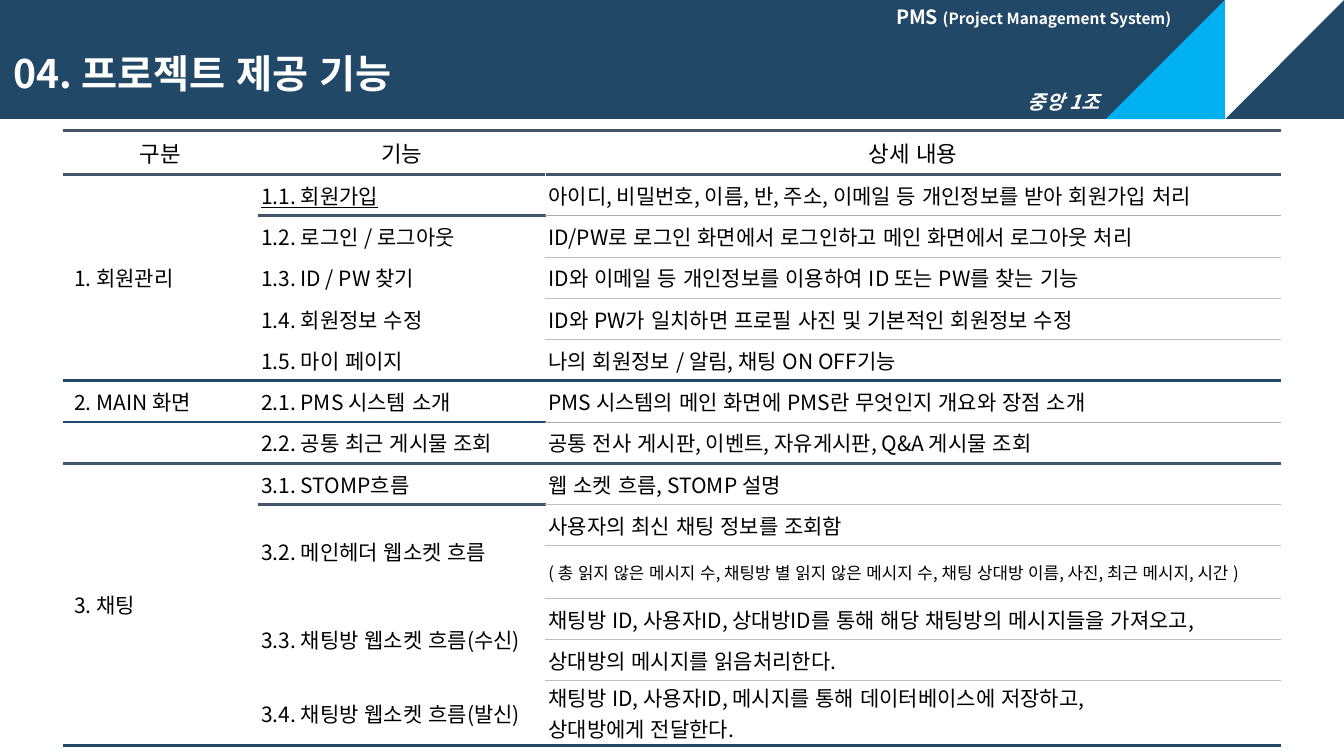
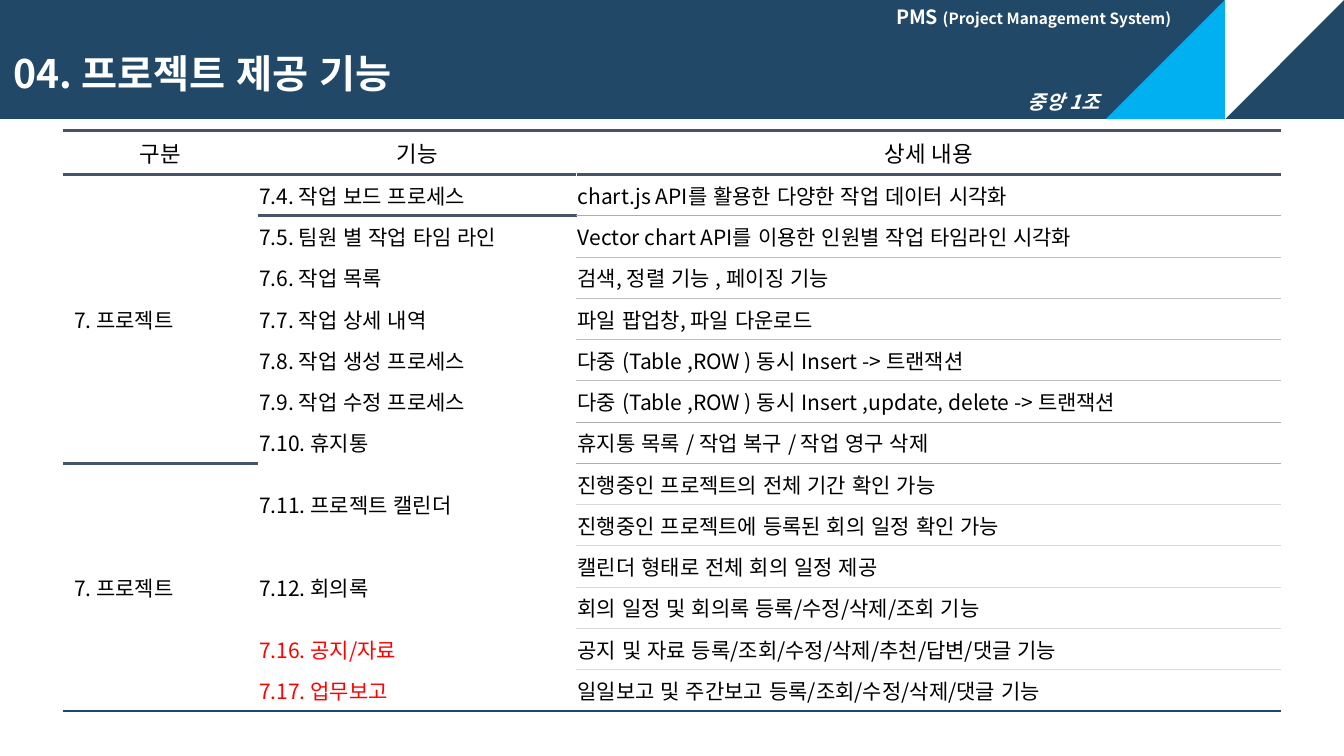
from typing import NamedTuple, Optional

from lxml.etree import SubElement
from pptx import Presentation
from pptx.dml.color import RGBColor
from pptx.enum.lang import MSO_LANGUAGE_ID
from pptx.enum.shapes import MSO_SHAPE
from pptx.enum.text import MSO_ANCHOR, MSO_AUTO_SIZE, PP_ALIGN
from pptx.oxml import parse_xml
from pptx.oxml.ns import nsdecls, qn
from pptx.util import Pt

FONT = "Noto Sans CJK KR"
WHITE, BLACK, RED = "FFFFFF", "000000", "FF0000"
NAVY, SKY, SLATE = "214867", "00B0F0", "44546A"
GRAY, LIGHT, PALE = "AFABAB", "BFBFBF", "D9D9D9"
HEAVY_RULES = {NAVY, SLATE}
NO_STYLE = "{2D5ABB26-0587-4C30-8999-92F81FD0307C}"

SLIDE_WIDTH, SLIDE_HEIGHT = 960, 540
BAND_HEIGHT = 85
TABLE_LEFT, TABLE_TOP = 44.8, 93.4
HEADER_HEIGHT, ROW_HEIGHT = 31.2, 29.5
TITLE = "04. 프로젝트 제공 기능"
HEADINGS = ("구분", "기능", "상세 내용")


class Row(NamedTuple):
    """One table row; None in a cell continues the cell above it."""
    category: Optional[str]
    feature: Optional[str]
    detail: str
    rule: Optional[str] = LIGHT
    feature_format: dict = {}
    detail_format: dict = {}


MEMBER_TO_CHAT = [
    Row("1. 회원관리", "1.1. 회원가입",
        "아이디, 비밀번호, 이름, 반, 주소, 이메일 등 개인정보를 받아 회원가입 처리",
        GRAY, {"underline": True}),
    Row(None, "1.2. 로그인 / 로그아웃",
        "ID/PW로 로그인 화면에서 로그인하고 메인 화면에서 로그아웃 처리"),
    Row(None, "1.3. ID / PW 찾기",
        "ID와 이메일 등 개인정보를 이용하여 ID 또는 PW를 찾는 기능"),
    Row(None, "1.4. 회원정보 수정",
        "ID와 PW가 일치하면 프로필 사진 및 기본적인 회원정보 수정"),
    Row(None, "1.5. 마이 페이지", "나의 회원정보 / 알림, 채팅 ON OFF기능", NAVY),
    Row("2. MAIN 화면", "2.1. PMS 시스템 소개",
        "PMS 시스템의 메인 화면에 PMS란 무엇인지 개요와 장점 소개", GRAY),
    Row("", "2.2. 공통 최근 게시물 조회",
        "공통 전사 게시판, 이벤트, 자유게시판, Q&A 게시물 조회", SLATE),
    Row("3. 채팅", "3.1. STOMP흐름", "웹 소켓 흐름, STOMP 설명"),
    Row(None, "3.2. 메인헤더 웹소켓 흐름", "사용자의 최신 채팅 정보를 조회함", None),
    Row(None, None,
        "( 총 읽지 않은 메시지 수, 채팅방 별 읽지 않은 메시지 수, "
        "채팅 상대방 이름, 사진, 최근 메시지, 시간 )",
        detail_format={"size": Pt(12)}),
    Row(None, "3.3. 채팅방 웹소켓 흐름(수신)",
        "채팅방 ID, 사용자ID, 상대방ID를 통해 해당 채팅방의 메시지들을 가져오고,", None),
    Row(None, None, "상대방의 메시지를 읽음처리한다."),
    Row(None, "3.4. 채팅방 웹소켓 흐름(발신)",
        "채팅방 ID, 사용자ID, 메시지를 통해 데이터베이스에 저장하고,\n"
        "상대방에게 전달한다.", NAVY),
]

PROJECT = [
    Row("7. 프로젝트", "7.4. 작업 보드 프로세스",
        "chart.js API를 활용한 다양한 작업 데이터 시각화", GRAY),
    Row(None, "7.5. 팀원 별 작업 타임 라인",
        "Vector chart API를 이용한 인원별 작업 타임라인 시각화"),
    Row(None, "7.6. 작업 목록", "검색, 정렬 기능 , 페이징 기능"),
    Row(None, "7.7. 작업 상세 내역", "파일 팝업창, 파일 다운로드"),
    Row(None, "7.8. 작업 생성 프로세스",
        "다중 (Table ,ROW ) 동시 Insert -> 트랜잭션"),
    Row(None, "7.9. 작업 수정 프로세스",
        "다중 (Table ,ROW ) 동시 Insert ,update, delete -> 트랜잭션", GRAY),
    Row(None, "7.10. 휴지통", "휴지통 목록 / 작업 복구 / 작업 영구 삭제", None),
    Row("7. 프로젝트", "7.11. 프로젝트 캘린더",
        "진행중인 프로젝트의 전체 기간 확인 가능", PALE),
    Row(None, None, "진행중인 프로젝트에 등록된 회의 일정 확인 가능", PALE),
    Row(None, "7.12. 회의록", "캘린더 형태로 전체 회의 일정 제공", PALE),
    Row(None, None, "회의 일정 및 회의록 등록/수정/삭제/조회 기능", PALE),
    Row(None, "7.16. 공지/자료",
        "공지 및 자료 등록/조회/수정/삭제/추천/답변/댓글 기능", PALE, {"color": RED}),
    Row(None, "7.17. 업무보고",
        "일일보고 및 주간보고 등록/조회/수정/삭제/댓글 기능", NAVY, {"color": RED}),
]


def rgb(color):
    return RGBColor.from_string(color)


def add_text(paragraph, text, size, color=BLACK, **formats):
    run = paragraph.add_run()
    run.text = text
    formats = {"name": FONT, "size": Pt(size),
               "language_id": MSO_LANGUAGE_ID.KOREAN, **formats}
    color = formats.pop("color", color)
    for attribute, value in formats.items():
        setattr(run.font, attribute, value)
    run.font.color.rgb = rgb(color)
    SubElement(run._r.get_or_add_rPr(), qn("a:ea")).set("typeface", FONT)


def add_block(shapes, kind, left, top, width, height, color, rotation=0):
    block = shapes.add_shape(kind, Pt(left), Pt(top), Pt(width), Pt(height))
    block.rotation = rotation
    block.shadow.inherit = False
    block.fill.solid()
    block.fill.fore_color.rgb = rgb(color)
    block.line.fill.background()
    return block


def add_caption(shapes, left, top, width, height, anchor, parts, **formats):
    caption = shapes.add_textbox(Pt(left), Pt(top), Pt(width), Pt(height))
    frame = caption.text_frame
    frame.word_wrap = True
    frame.vertical_anchor = anchor
    for text, size in parts:
        add_text(frame.paragraphs[0], text, size, WHITE, bold=True, **formats)
    return caption


def move_band_to_layout(slide, layout, width, height):
    """Build the header band and hand its parts to the shared layout."""
    shapes = slide.shapes
    corner = width - height
    parts = [
        add_block(shapes, MSO_SHAPE.RECTANGLE, 0, 0, width, height, NAVY),
        add_block(shapes, MSO_SHAPE.RIGHT_TRIANGLE, corner, 0,
                  height, height, WHITE, 90),
        add_block(shapes, MSO_SHAPE.RIGHT_TRIANGLE, corner - height, 0,
                  height, height, SKY, 270),
        add_caption(shapes, corner - 147.8, height - 24.5, 68.4, 24.5,
                    MSO_ANCHOR.TOP, [("중앙 1조", 14)], italic=True),
        add_caption(shapes, corner - 242, 0, 218, 24.5, MSO_ANCHOR.MIDDLE,
                    [("PMS ", 14), ("(Project Management System)", 11)]),
    ]
    for number, part in enumerate(parts, 100):
        part.element.xpath(".//p:cNvPr")[0].set("id", str(number))
        layout.shapes.element.append(part.element)


def fill_title(slide, text, left, top, width, height):
    title = slide.shapes.title
    box = {"left": left, "top": top, "width": width, "height": height}
    for attribute, value in box.items():
        setattr(title, attribute, Pt(value))
    frame = title.text_frame
    frame.auto_size = MSO_AUTO_SIZE.NONE
    frame.word_wrap = True
    frame.vertical_anchor = MSO_ANCHOR.MIDDLE
    paragraph = frame.paragraphs[0]
    paragraph.alignment = PP_ALIGN.LEFT
    paragraph.line_spacing = 0.9
    add_text(paragraph, text, 28, WHITE, bold=True)


def set_borders(cell, left, top, bottom):
    """Draw the given border colours; None leaves a side open."""
    properties = cell._tc.get_or_add_tcPr()
    sides = [("lnL", left), ("lnT", top), ("lnB", bottom)]
    drawn = [(side, color) for side, color in sides if color]
    for position, (side, color) in enumerate(drawn):
        weight = Pt(2.25 if color in HEAVY_RULES else 0.75)
        properties.insert(position, parse_xml(
            f'<a:{side} {nsdecls("a")} w="{weight}"><a:solidFill>'
            f'<a:srgbClr val="{color}"/></a:solidFill></a:{side}>'))


def fill_cell(cell, text, size, inset, align=PP_ALIGN.LEFT, indent=0, formats=None):
    margins = {"margin_left": inset + indent, "margin_right": inset,
               "margin_top": 1.3, "margin_bottom": 1.3}
    for attribute, value in margins.items():
        setattr(cell, attribute, Pt(value))
    cell.vertical_anchor = MSO_ANCHOR.MIDDLE
    for number, line in enumerate(text.split("\n")):
        frame = cell.text_frame
        paragraph = frame.add_paragraph() if number else frame.paragraphs[0]
        paragraph.alignment = align
        add_text(paragraph, line, size, **(formats or {}))


def add_feature_table(slide, rows, left, top, column_widths, inset):
    count = len(rows)
    table = slide.shapes.add_table(
        count + 1, len(HEADINGS), Pt(left), Pt(top), Pt(sum(column_widths)),
        Pt(HEADER_HEIGHT + count * ROW_HEIGHT)).table
    table.first_row = table.horz_banding = False
    table._tbl.tblPr.find(qn("a:tableStyleId")).text = NO_STYLE
    for column, width in zip(table.columns, column_widths):
        column.width = Pt(width)
    for number, table_row in enumerate(table.rows):
        table_row.height = Pt(ROW_HEIGHT if number else HEADER_HEIGHT)

    rules = [SLATE, SLATE] + [row.rule for row in rows]
    for column, heading in enumerate(HEADINGS):
        fill_cell(table.cell(0, column), heading, 16, 2.2, PP_ALIGN.CENTER)
        texts = [row[column] for row in rows]
        for number in range(count + 1):
            cell = table.cell(number, column)
            cell.fill.background()
            last = number
            if number and texts[number - 1] is not None:
                while last < count and texts[last] is None:
                    last += 1
                row = rows[number - 1]
                formats = ({}, row.feature_format, row.detail_format)[column]
                size_formats = {"size": Pt(15), **formats}
                fill_cell(cell, texts[number - 1], 15,
                          inset if column else 2.2,
                          indent=0 if column else 6, formats=None
                          ) if not formats else fill_cell(
                    cell, texts[number - 1], size_formats.pop("size").pt,
                    inset, formats=size_formats)
            if last > number:
                cell.merge(table.cell(last, column))
            above, below = (
                rule if column == 2 or rule in HEAVY_RULES else None
                for rule in (rules[number], rules[last + 1]))
            divider = WHITE if column == 2 and number else None
            set_borders(cell, divider, above, below)


def main():
    deck = Presentation()
    deck.slide_width, deck.slide_height = Pt(SLIDE_WIDTH), Pt(SLIDE_HEIGHT)
    layout = deck.slide_layouts.get_by_name("Title Only")
    pages = [
        (MEMBER_TO_CHAT, (139.5, 205.3, 525.5), 2.2),
        (PROJECT, (139.5, 227.5, 503.3), 0.9),
    ]
    for number, (rows, column_widths, inset) in enumerate(pages):
        slide = deck.slides.add_slide(layout)
        if number == 0:
            move_band_to_layout(slide, layout, SLIDE_WIDTH, BAND_HEIGHT)
        fill_title(slide, TITLE, 2.6, 28, 614, 52.6)
        add_feature_table(slide, rows, TABLE_LEFT, TABLE_TOP, column_widths, inset)
    deck.save("out.pptx")


if __name__ == "__main__":
    main()
